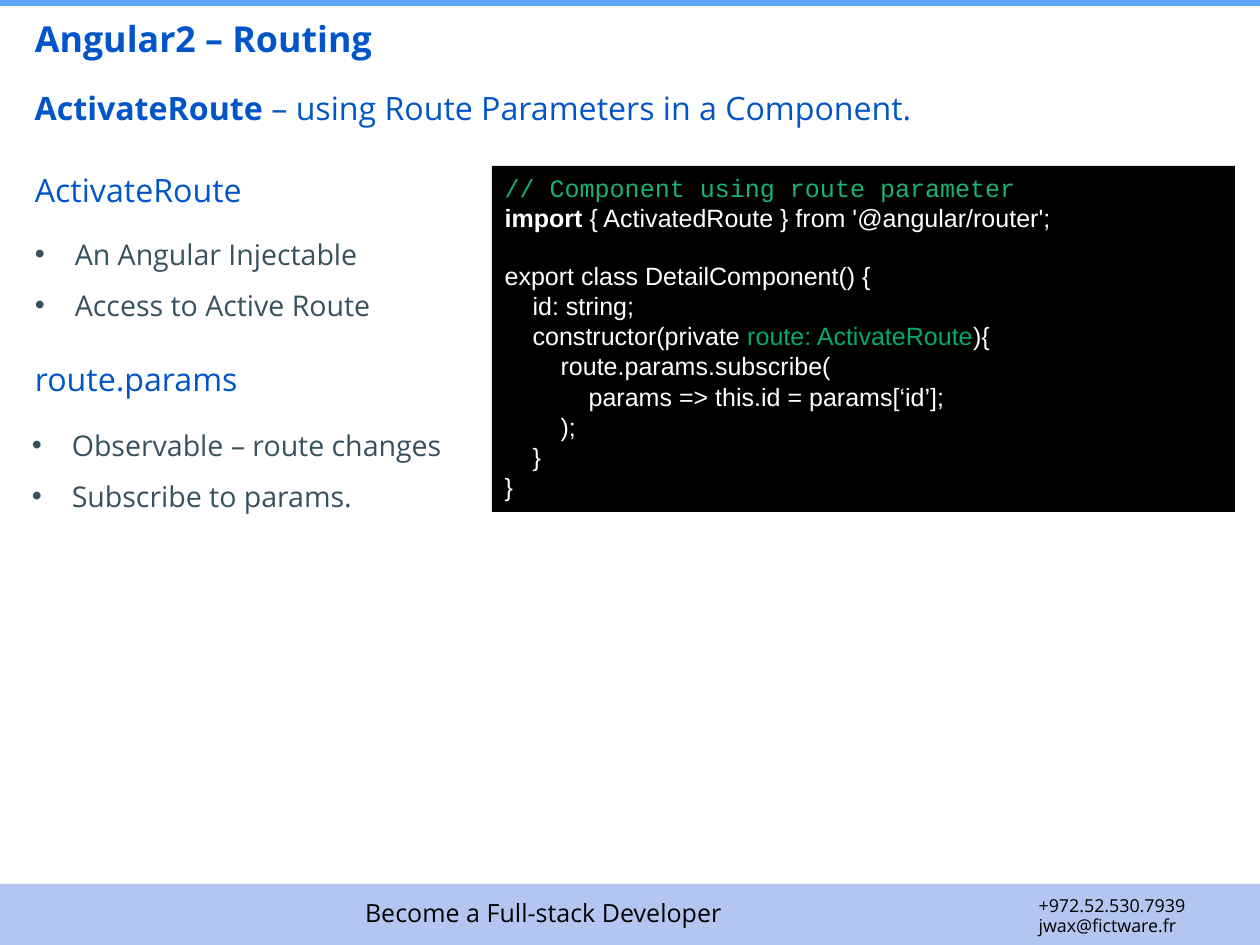
"""Build the Angular2 routing slide about reading route parameters in a component."""
from dataclasses import dataclass

from pptx import Presentation
from pptx.dml.color import RGBColor as RGB
from pptx.enum.shapes import MSO_SHAPE as SHAPE
from pptx.enum.text import MSO_ANCHOR as ANCHOR, MSO_AUTO_SIZE as AUTOSIZE, PP_ALIGN as ALIGN
from pptx.util import Emu, Pt

PX = 7110


@dataclass(frozen=True)
class Theme:
    blue: str = "0055C8"
    slate: str = "37515F"
    black: str = "000000"
    white: str = "FFFFFF"
    comment: str = "1AB076"
    accent: str = "00AB72"
    top_bar: str = "5EA6F3"
    footer_bar: str = "B5C5F1"
    sans: str = "Open Sans"
    code: str = "Arial"
    mono: str = "Courier New"
    title: int = 20
    heading: int = 18
    bullet: int = 16
    small: int = 14
    contact: int = 10


theme = Theme()


def box(left, top, width, height):
    return [Emu(value * PX) for value in (left, top, width, height)]


def write(frame, lines, size, color, font=theme.sans, anchor=ANCHOR.TOP, **layout):
    """Fill a frame with lines, each a list of (text, overrides) runs."""
    settings = {"word_wrap": True, "auto_size": AUTOSIZE.NONE, "vertical_anchor": anchor}
    for name, value in settings.items():
        setattr(frame, name, value)
    layout = {"alignment": ALIGN.LEFT, "space_before": Pt(0), "line_spacing": 1.0} | layout
    for index, runs in enumerate(lines):
        paragraph = frame.paragraphs[0] if index == 0 else frame.add_paragraph()
        for name, value in layout.items():
            setattr(paragraph, name, value)
        for text, overrides in runs:
            run = paragraph.add_run()
            run.text = text
            style = {"size": Pt(size), "name": font, "bold": False, "color": color} | overrides
            run.font.color.rgb = RGB.from_string(style.pop("color"))
            for name, value in style.items():
                setattr(run.font, name, value)


deck = Presentation()
deck.slide_width, deck.slide_height = Emu(1260 * PX), Emu(945 * PX)
slide = deck.slides.add_slide(deck.slide_layouts[4])
shapes = slide.shapes
bold = {"bold": True}

panels = []
for area, color in [
    ((0, 0, 1260, 6), theme.top_bar),
    ((0, 884, 1260, 61), theme.footer_bar),
    ((492, 166, 743, 346), theme.black),
]:
    panel = shapes.add_shape(SHAPE.RECTANGLE, *box(*area))
    panel.shadow.inherit = False
    panel.fill.solid()
    panel.fill.fore_color.rgb = RGB.from_string(color)
    panel.line.fill.background()
    panels.append(panel)
code_panel = panels[-1]

title = shapes.title
title.left, title.top, title.width, title.height = box(22, 10, 960, 62)
write(title.text_frame, [[("Angular2 – Routing", bold)]], theme.title, theme.blue)

subtitle = shapes.add_textbox(*box(22, 63, 1187, 64))
write(
    subtitle.text_frame,
    [[("ActivateRoute ", bold), ("– using Route Parameters in a Component.", {})]],
    theme.heading, theme.blue, line_spacing=1.5,
)

BULLET_INDENT = 40 * PX
for idx, area, lines, size, color in [
    (1, (22, 145, 459, 64), ["ActivateRoute"], theme.heading, theme.blue),
    (2, (22, 213, 459, 117), ["An Angular Injectable", "Access to Active Route"],
     theme.bullet, theme.slate),
    (3, (22, 334, 459, 64), ["route.params"], theme.heading, theme.blue),
    (4, (19, 404, 462, 117), ["Observable – route changes", "Subscribe to params."],
     theme.bullet, theme.slate),
]:
    topic = slide.placeholders[idx]
    topic.left, topic.top, topic.width, topic.height = box(*area)
    write(topic.text_frame, [[(line, {})] for line in lines], size, color, line_spacing=1.5)
    if size == theme.bullet:
        for point in topic.text_frame.paragraphs:
            properties = point._p.get_or_add_pPr()
            properties.set("marL", str(BULLET_INDENT))
            properties.set("indent", str(-BULLET_INDENT))

CODE_INDENT = 28 * PX
code = [
    (0, [("// Component using route parameter", {"name": theme.mono, "color": theme.comment})]),
    (0, [("import ", bold), ("{ ActivatedRoute } from '@angular/router';", {})]),
    (0, [("export class DetailComponent() {", {})]),
    (1, [("id: string;", {})]),
    (1, [("constructor(private ", {}), ("route: ActivateRoute", {"color": theme.accent}),
         ("){", {})]),
    (2, [("route.params.subscribe(", {})]),
    (3, [("params => this.id = params[‘id’];", {})]),
    (2, [(");", {})]),
    (1, [("}", {})]),
    (0, [("}", {})]),
]
write(code_panel.text_frame, [runs for depth, runs in code], theme.small, theme.white, theme.code)
for (depth, runs), line in zip(code, code_panel.text_frame.paragraphs):
    line._p.get_or_add_pPr().set("marL", str(depth * CODE_INDENT))
code_panel.text_frame.paragraphs[2].space_before = Pt(16)

contact = shapes.add_textbox(*box(1026, 891, 231, 53))
write(
    contact.text_frame, [[("+972.52.530.7939", {})], [("jwax@fictware.fr", {})]],
    theme.contact, theme.black, line_spacing=0.9,
)

slogan = shapes.add_textbox(*box(206, 891, 675, 44))
write(
    slogan.text_frame, [[("Become a Full-stack Developer", {})]],
    theme.small, theme.black, anchor=ANCHOR.MIDDLE, alignment=ALIGN.CENTER,
)

deck.save("out.pptx")
